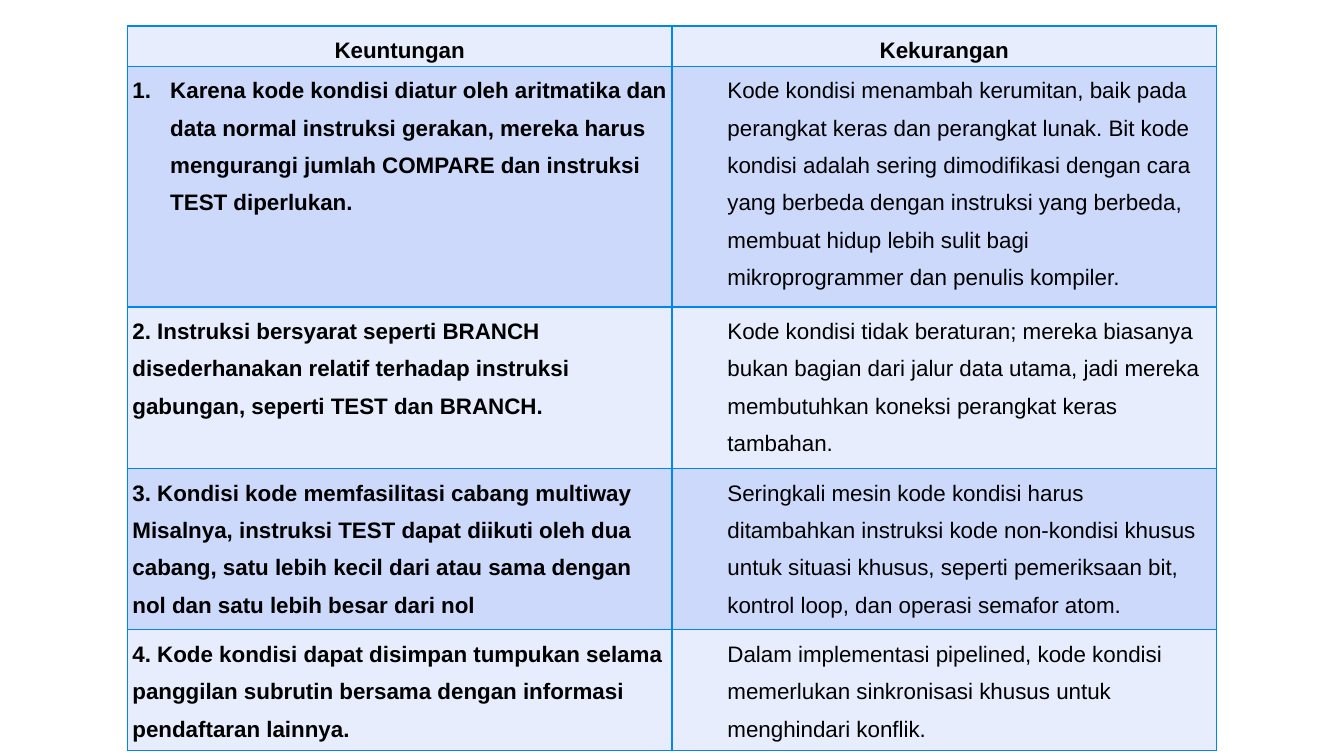
from pptx import Presentation, util as u
from pptx.dml.color import RGBColor
from pptx.enum import text
from pptx.oxml.ns import qn
from lxml import etree

COLORS = {"light": "E7EDFC", "mid": "CCD9FA", "border": "0085F2", "text": "000000"}
ROWS = [
    ("Keuntungan", "Kekurangan"),
    ("Karena kode kondisi diatur oleh aritmatika dan data normal instruksi gerakan, mereka harus mengurangi jumlah COMPARE dan instruksi TEST diperlukan.",
     "Kode kondisi menambah kerumitan, baik pada perangkat keras dan perangkat lunak. Bit kode kondisi adalah sering dimodifikasi dengan cara yang berbeda dengan instruksi yang berbeda, membuat hidup lebih sulit bagi mikroprogrammer dan penulis kompiler."),
    ("2. Instruksi bersyarat seperti BRANCH disederhanakan relatif terhadap instruksi gabungan, seperti TEST dan BRANCH.",
     "Kode kondisi tidak beraturan; mereka biasanya bukan bagian dari jalur data utama, jadi mereka membutuhkan koneksi perangkat keras tambahan."),
    ("3. Kondisi kode memfasilitasi cabang multiway Misalnya, instruksi TEST dapat diikuti oleh dua cabang, satu lebih kecil dari atau sama dengan nol dan satu lebih besar dari nol",
     "Seringkali mesin kode kondisi harus ditambahkan instruksi kode non-kondisi khusus untuk situasi khusus, seperti pemeriksaan bit, kontrol loop, dan operasi semafor atom."),
    ("4. Kode kondisi dapat disimpan tumpukan selama panggilan subrutin bersama dengan informasi pendaftaran lainnya.",
     "Dalam implementasi pipelined, kode kondisi memerlukan sinkronisasi khusus untuk menghindari konflik."),
]
HEIGHTS = [28.8, 172, 115.4, 115.2, 86.4]


def add_borders(cell):
    tc_pr = cell._tc.get_or_add_tcPr()
    for side in ("lnL", "lnR", "lnT", "lnB"):
        ln = etree.SubElement(tc_pr, qn(f"a:{side}"), w=str(u.Pt(1)))
        fill = etree.SubElement(ln, qn("a:solidFill"))
        etree.SubElement(fill, qn("a:srgbClr"), val=COLORS["border"])


prs = Presentation()
prs.slide_width, prs.slide_height = u.Pt(960), u.Pt(540)
s = prs.slides.add_slide(prs.slide_layouts[6])

table = s.shapes.add_table(
    len(ROWS), 2, u.Pt(91), u.Pt(18.5), u.Pt(778), u.Pt(sum(HEIGHTS))).table
for column in table.columns:
    column.width = u.Pt(389)

for i, (contents, height) in enumerate(zip(ROWS, HEIGHTS)):
    table.rows[i].height = u.Pt(height)
    for j, content in enumerate(contents):
        cell = table.cell(i, j)
        cell.margin_left = cell.margin_right = u.Pt(3.6)
        cell.margin_top = cell.margin_bottom = 0
        add_borders(cell)
        cell.fill.solid()
        cell.fill.fore_color.rgb = RGBColor.from_string(COLORS["mid" if i % 2 else "light"])

        p = cell.text_frame.paragraphs[0]
        p.alignment = text.PP_ALIGN.LEFT if i else text.PP_ALIGN.CENTER
        p.line_spacing = 1.5
        p.space_after = u.Pt(8 if i == 0 or j == 1 else 0)
        p_pr = p._p.get_or_add_pPr()
        if i and j == 1:
            p_pr.set("marL", str(u.Pt(36)))
            p_pr.set("indent", "0")
        elif i == 1:
            p_pr.set("marL", str(u.Pt(27)))
            p_pr.set("indent", str(-u.Pt(27)))
            etree.SubElement(p_pr, qn("a:buFont"), typeface="+mj-lt")
            etree.SubElement(p_pr, qn("a:buAutoNum"), type="arabicPeriod")

        r = p.add_run()
        r.text = content
        r.font.name = "Arial"
        r.font.size = u.Pt(16)
        r.font.bold = i == 0 or j == 0
        r.font.color.rgb = RGBColor.from_string(COLORS["text"])

prs.save("out.pptx")
